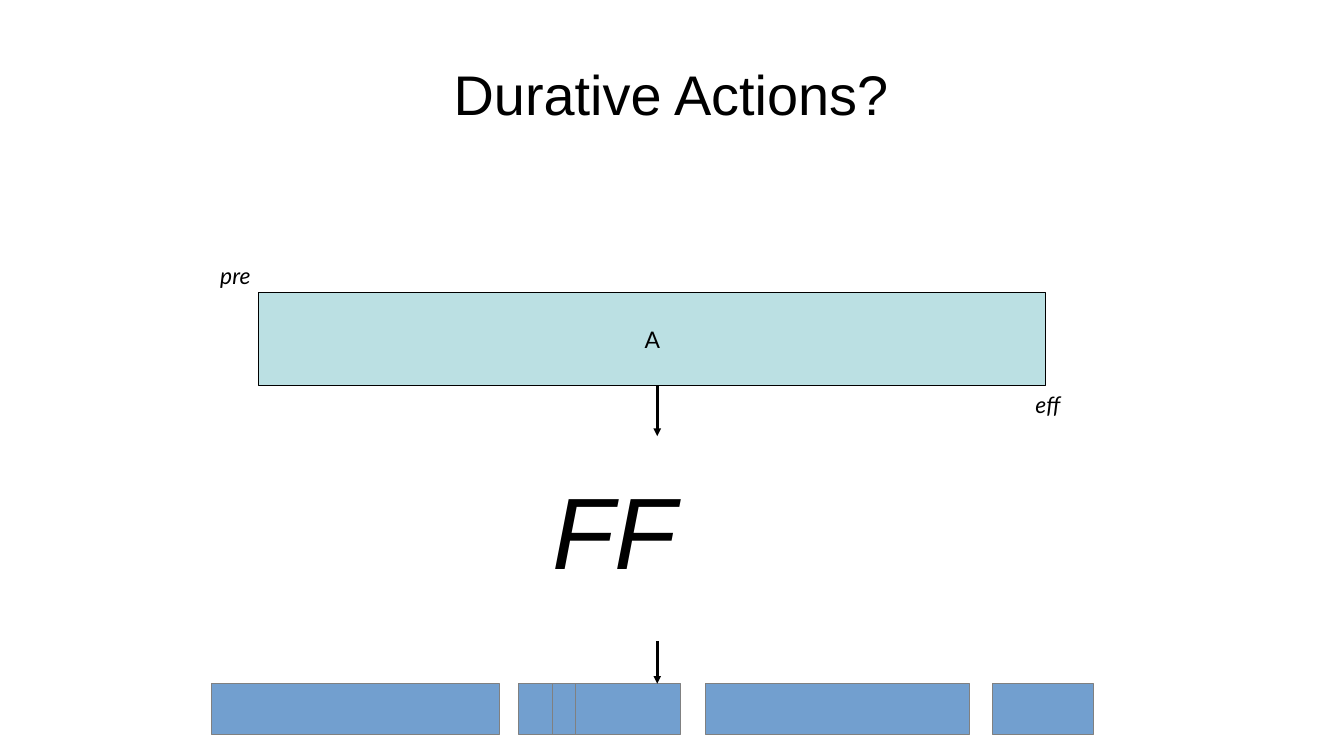
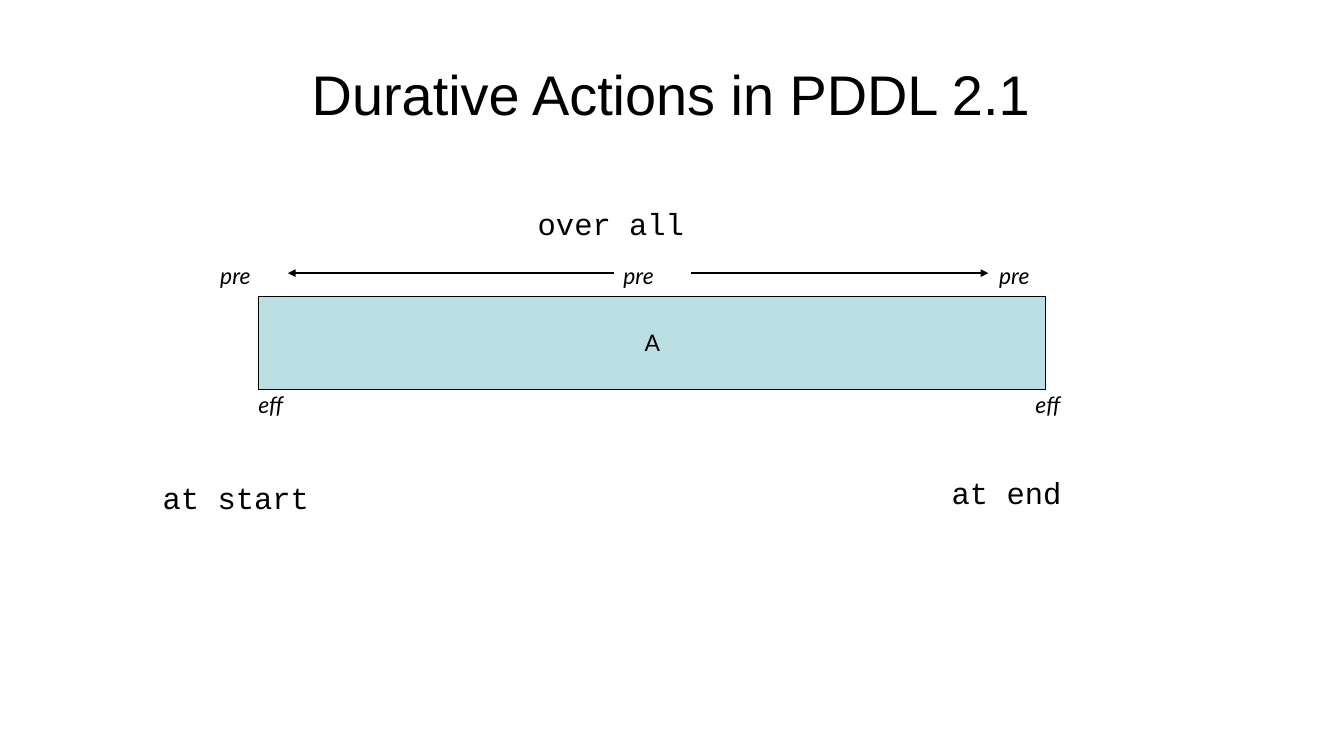
from lxml import etree
from pptx import Presentation
from pptx.dml.color import RGBColor
from pptx.enum.shapes import MSO_CONNECTOR, MSO_SHAPE
from pptx.enum.text import MSO_ANCHOR, PP_ALIGN
from pptx.oxml.ns import qn
from pptx.util import Cm, Pt

RECTANGLE = MSO_SHAPE.RECTANGLE
STRAIGHT = MSO_CONNECTOR.STRAIGHT
TOP, MIDDLE = MSO_ANCHOR.TOP, MSO_ANCHOR.MIDDLE
LEFT, CENTER = PP_ALIGN.LEFT, PP_ALIGN.CENTER

COLORS = {
    "text": "000000",
    "action": "BBE0E3",
    "step": "729FCF",
    "step_edge": "808080",
}
SANS, LABEL, MONO = "Arial", "Lato", "Courier New"

SLIDE_WIDTH, SLIDE_HEIGHT = 37.34, 21.01
ACTION_LEFT, ACTION_WIDTH, ACTION_HEIGHT = 7.19, 21.87, 2.59
PRE_TOP, EFF_TOP = 7.14, 10.72
START_PRE_LEFT, END_EFF_LEFT = 5.87, 28.52


def color(name):
    return RGBColor.from_string(COLORS[name])


class Deck:
    """Shared style plus the slide being drawn; all lengths are in cm."""

    def __init__(self):
        self.presentation = Presentation()
        self.presentation.slide_width = Cm(SLIDE_WIDTH)
        self.presentation.slide_height = Cm(SLIDE_HEIGHT)
        self.slide = None

    def new_slide(self, title):
        layout = self.presentation.slide_layouts[6]
        self.slide = self.presentation.slides.add_slide(layout)
        self.text(title, 1.85, 0.84, 33.6, 3.51, SANS, 44, align=CENTER)

    def set_text(self, frame, content, font, size, align, italic=False):
        frame.text = content
        paragraph = frame.paragraphs[0]
        paragraph.alignment = align
        run = paragraph.runs[0]
        run.font.name = font
        run.font.size = Pt(size)
        run.font.italic = italic
        run.font.color.rgb = color("text")

    def text(self, content, left, top, width, height, font, size,
             align=LEFT, italic=False):
        """Text box without margins, centred vertically."""
        box = self.slide.shapes.add_textbox(
            Cm(left), Cm(top), Cm(width), Cm(height))
        frame = box.text_frame
        frame.word_wrap = True
        frame.vertical_anchor = MIDDLE
        frame.margin_left = frame.margin_right = Cm(0)
        frame.margin_top = frame.margin_bottom = Cm(0)
        self.set_text(frame, content, font, size, align, italic)

    def condition(self, content, left, top):
        """Small italic label for a precondition or an effect."""
        box = self.slide.shapes.add_textbox(
            Cm(left), Cm(top), Cm(2.24), Cm(1.02))
        box.text_frame.word_wrap = True
        box.text_frame.vertical_anchor = TOP
        self.set_text(box.text_frame, content, LABEL, 18, LEFT, italic=True)

    def timing(self, content, left, top):
        """Temporal qualifier in code type."""
        self.text(content, left, top, 5.41, 0.97, MONO, 24)

    def bar(self, left, top, width, height, fill, edge, edge_width):
        bar = self.slide.shapes.add_shape(
            RECTANGLE, Cm(left), Cm(top), Cm(width), Cm(height))
        bar.shadow.inherit = False
        bar.fill.solid()
        bar.fill.fore_color.rgb = color(fill)
        bar.line.color.rgb = color(edge)
        bar.line.width = Pt(edge_width)
        return bar

    def action(self, top):
        bar = self.bar(ACTION_LEFT, top, ACTION_WIDTH, ACTION_HEIGHT,
                       "action", "text", 0.75)
        bar.text_frame.vertical_anchor = MIDDLE
        self.set_text(bar.text_frame, "A", LABEL, 18, CENTER)

    def arrow(self, x1, y1, x2, y2):
        """Hairline with an arrowhead at its second point."""
        arrow = self.slide.shapes.add_connector(
            STRAIGHT, Cm(x1), Cm(y1), Cm(x2), Cm(y2))
        arrow.line.color.rgb = color("text")
        arrow.line.width = Pt(0)
        properties = arrow._element.spPr
        etree.SubElement(properties.find(qn("a:ln")), qn("a:tailEnd"),
                         type="triangle")
        etree.SubElement(properties, qn("a:effectLst"))


def durative_actions(deck):
    deck.new_slide("Durative Actions?")
    action_top, steps_top, arrow_x = 8.13, 19.0, 18.26
    deck.action(action_top)
    deck.condition("pre", START_PRE_LEFT, PRE_TOP)
    deck.condition("eff", END_EFF_LEFT, EFF_TOP)
    deck.arrow(arrow_x, action_top + ACTION_HEIGHT, arrow_x, 12.12)
    deck.text("FF", 15.34, 13.13, 10.13, 3.15, SANS, 80, italic=True)
    steps = [(5.87, 8.0), (14.4, 0.94), (15.34, 0.66), (16.0, 2.92),
             (19.61, 7.34), (27.58, 2.79)]
    for left, width in steps:
        deck.bar(left, steps_top, width, 1.4, "step", "step_edge", 0)
    deck.arrow(arrow_x, 17.81, arrow_x, steps_top)


def durative_actions_in_pddl(deck):
    deck.new_slide("Durative Actions in PDDL 2.1")
    deck.action(8.23)
    for left in (START_PRE_LEFT, 17.07, 27.51):
        deck.condition("pre", left, PRE_TOP)
    for left in (6.93, END_EFF_LEFT):
        deck.condition("eff", left, EFF_TOP)
    span_y = 7.59
    for inner, outer in ((17.07, 8.0), (19.2, 27.46)):
        deck.arrow(inner, span_y, outer, span_y)
    deck.timing("at start", 4.52, 13.34)
    deck.timing("at end", 26.44, 13.21)
    deck.timing("over all", 14.94, 5.72)


def main():
    deck = Deck()
    durative_actions(deck)
    durative_actions_in_pddl(deck)
    deck.presentation.save("out.pptx")


if __name__ == "__main__":
    main()
